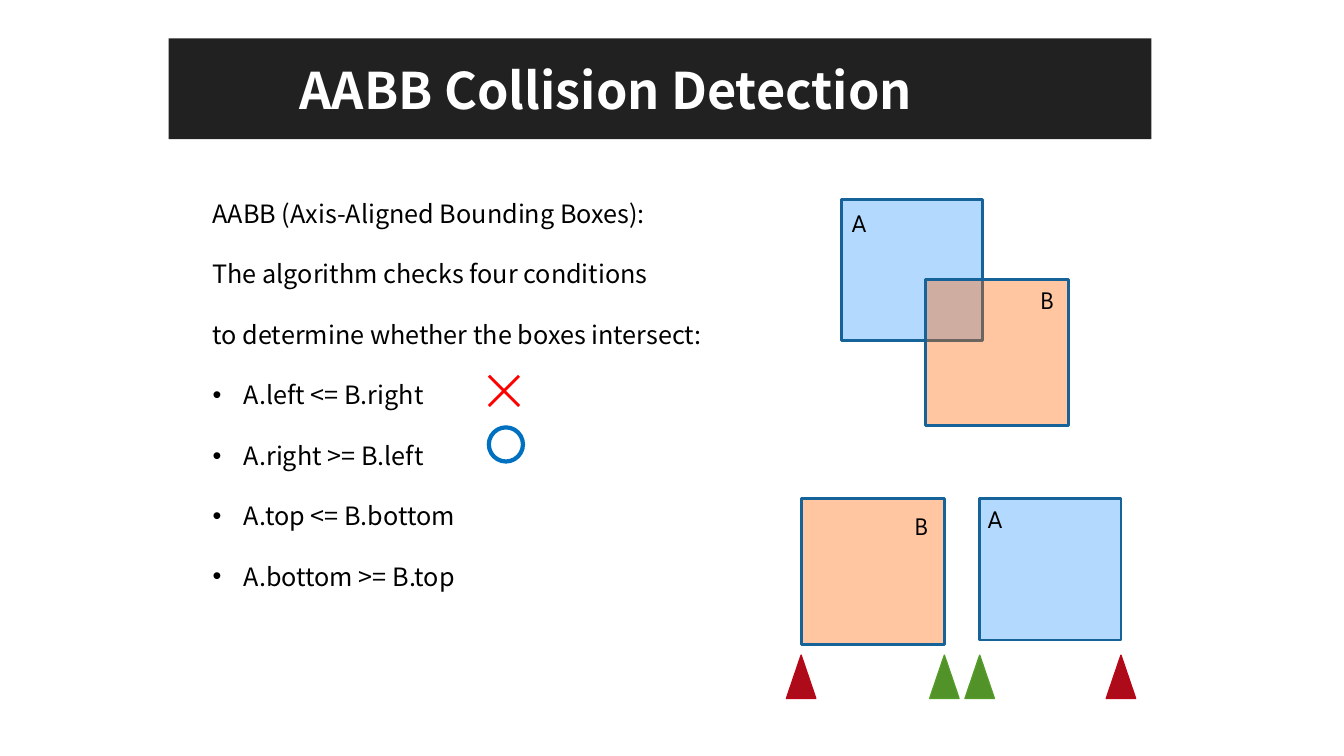
from lxml import etree
from pptx import Presentation
from pptx.dml.color import RGBColor
from pptx.enum.shapes import MSO_CONNECTOR, MSO_SHAPE
from pptx.enum.text import MSO_ANCHOR, MSO_AUTO_SIZE, PP_ALIGN
from pptx.oxml.ns import qn
from pptx.util import Cm, Pt

RECTANGLE, TRIANGLE, OVAL = MSO_SHAPE.RECTANGLE, MSO_SHAPE.ISOSCELES_TRIANGLE, MSO_SHAPE.OVAL
STRAIGHT = MSO_CONNECTOR.STRAIGHT
LEFT, MIDDLE = PP_ALIGN.LEFT, MSO_ANCHOR.MIDDLE
FIT_SHAPE = MSO_AUTO_SIZE.SHAPE_TO_FIT_TEXT

# Content
BODY_FONT, LABEL_FONT = "Noto Sans CJK SC", "League Spartan"
TITLE = "AABB Collision Detection"
INTRO = [
    "AABB (Axis-Aligned Bounding Boxes):",
    "The algorithm checks four conditions\nto determine whether the boxes intersect:",
]
CONDITIONS = ["A.left <= B.right", "A.right >= B.left", "A.top <= B.bottom", "A.bottom >= B.top"]

# Kind of bounding box: width, height, fill
KINDS = {"A": (3.56, 3.56, "3399FF"), "B": (3.61, 3.68, "FF6600")}
# Name, left, top, label offset from the corner
OVERLAPPING = [("A", 21.21, 5.03, (0, 0.08)), ("B", 23.32, 7.04, (2.66, 0))]
# The same, then the fill and line of the markers under the left and right edges
RED, GREEN = ("AD0B1A", "B90718"), ("519229", "549C28")
SEPARATE = [
    ("B", 20.19, 12.57, (2.62, 0.16), (RED, GREEN)),
    ("A", 24.69, 12.57, (-0.05, 0), (GREEN, RED)),
]
MARKER_TOP, MARKER_WIDTH, MARKER_HEIGHT = 16.51, 0.74, 1.09
CROSS = (12.32, 9.47, 0.76)
CIRCLE = (12.32, 10.77, 0.86)


def color(value):
    return RGBColor.from_string(value)


def add_outline(shapes, kind, left, top, width, height, fill=None, line=None, weight=1, opacity=100):
    shape = shapes.add_shape(kind, Cm(left), Cm(top), Cm(width), Cm(height))
    shape.shadow.inherit = False
    if fill:
        shape.fill.solid()
        shape.fill.fore_color.rgb = color(fill)
        if opacity < 100:
            tone = shape.fill._xPr.find(qn("a:solidFill"))[0]
            etree.SubElement(tone, qn("a:alpha")).set("val", str(opacity * 1000))
    else:
        shape.fill.background()
    if line:
        shape.line.color.rgb = color(line)
        shape.line.width = Pt(weight)
    else:
        shape.line.fill.background()
    return shape


def write(paragraph, text, font=BODY_FONT, size=18, ink="000000", bold=False, spacing=None, bullet=None):
    if bullet:
        properties = paragraph._p.get_or_add_pPr()
        properties.set("marL", str(Cm(0.79)))
        properties.set("indent", str(-Cm(0.79)))
        etree.SubElement(properties, qn("a:buFont")).set("typeface", "Arial")
        etree.SubElement(properties, qn("a:buChar")).set("char", bullet)
    paragraph.alignment = LEFT
    if spacing:
        paragraph.line_spacing = spacing
    for number, line in enumerate(text.split("\n")):
        if number:
            paragraph.add_line_break()
        span = paragraph.add_run()
        span.text = line
        span.font.name, span.font.size, span.font.bold = font, Pt(size), bold
        span.font.color.rgb = color(ink)


def add_text_box(shapes, left, top, width, height, wrap):
    frame = shapes.add_textbox(Cm(left), Cm(top), Cm(width), Cm(height)).text_frame
    frame.word_wrap = wrap
    frame.auto_size = FIT_SHAPE
    return frame


def add_bounding_box(shapes, name, left, top, offset):
    width, height, fill = KINDS[name]
    add_outline(shapes, RECTANGLE, left, top, width, height, fill, "156398", 2, opacity=37)
    frame = add_text_box(shapes, left + offset[0], top + offset[1], 0.95, 1.02, wrap=False)
    write(frame.paragraphs[0], name, font=LABEL_FONT)


deck = Presentation()
deck.slide_width, deck.slide_height = Cm(33.87), Cm(19.05)
page = deck.slides.add_slide(deck.slide_layouts[6])

# Intersecting boxes
for name, left, top, offset in OVERLAPPING:
    add_bounding_box(page.shapes, name, left, top, offset)

# Separate boxes, each grouped with a marker centred under either edge
for name, left, top, offset, markers in SEPARATE:
    members = page.shapes.add_group_shape().shapes
    add_bounding_box(members, name, left, top, offset)
    for edge, (fill, line) in zip((left, left + KINDS[name][0]), markers):
        add_outline(members, TRIANGLE, edge - MARKER_WIDTH / 2, MARKER_TOP,
                    MARKER_WIDTH, MARKER_HEIGHT, fill, line)

# Explanation and conditions
frame = add_text_box(page.shapes, 5.11, 4.11, 13.54, 10.8, wrap=True)
lines = [(text, None) for text in INTRO] + [(text, "•") for text in CONDITIONS]
for number, (text, bullet) in enumerate(lines):
    paragraph = frame.add_paragraph() if number else frame.paragraphs[0]
    write(paragraph, text, spacing=2.0, bullet=bullet)

# Result marks: circle and cross
left, top, size = CIRCLE
add_outline(page.shapes, OVAL, left, top, size, size, line="0070C0", weight=3)
left, top, size = CROSS
for start, end in ((left, left + size), (left + size, left)):
    stroke = page.shapes.add_connector(STRAIGHT, Cm(start), Cm(top + size), Cm(end), Cm(top))
    stroke.line.color.rgb = color("FF0000")
    stroke.line.width = Pt(2)
    etree.SubElement(stroke._element.spPr, qn("a:effectLst"))

# Title banner
banner = add_outline(page.shapes, RECTANGLE, 4.25, 0.97, 24.77, 2.54, fill="212121")
frame = banner.text_frame
frame.word_wrap = True
frame.vertical_anchor = MIDDLE
frame.margin_left, frame.margin_right = Cm(3.3), Cm(0.76)
write(frame.paragraphs[0], TITLE, size=36, ink="FFFFFF", bold=True)

deck.save("out.pptx")
